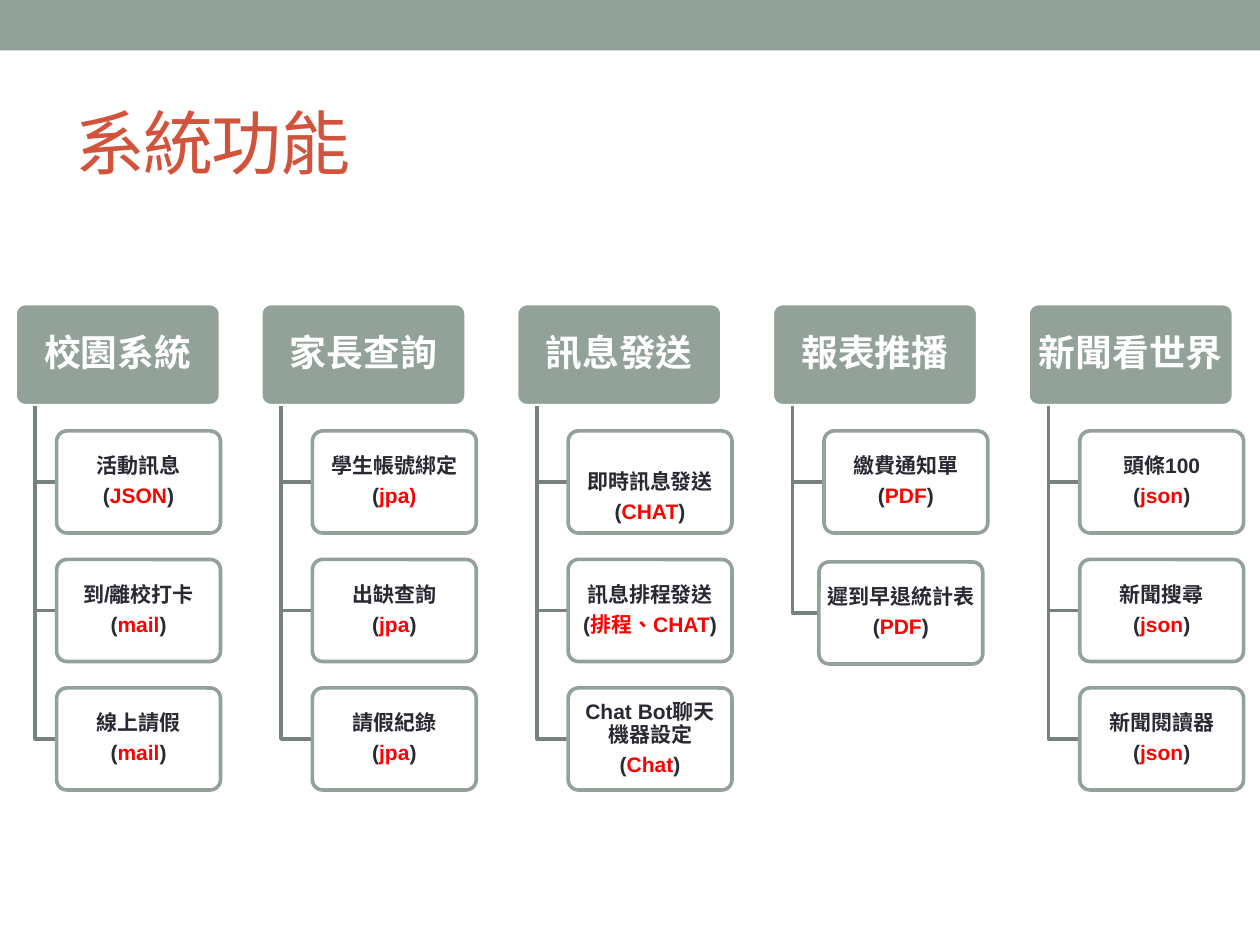
from pptx import Presentation
from pptx.dml.color import RGBColor
from pptx.enum import shapes, text
from pptx.util import Inches, Pt

C = {"sage": "93A299", "title": "D2533C", "white": "FFFFFF",
     "ink": "292934", "red": "FF0000", "branch": "76827B"}

TITLE = "系統功能"
# heading, heading left, then (feature, technology in red, closing text)
COLUMNS = [
    ("校園系統", 0.12, [("活動訊息", "JSON", ")"), ("到/離校打卡", "mail", ")"),
                    ("線上請假", "mail", ")")]),
    ("家長查詢", 2.07, [("學生帳號綁定", "jpa)", ""), ("出缺查詢", "jpa", ")"),
                    ("請假紀錄", "jpa", ")")]),
    ("訊息發送", 4.10, [("即時訊息發送", "CHAT", ")"), ("訊息排程發送", "排程、CHAT", ")"),
                    ("Chat Bot聊天機器設定", "Chat", ")")]),
    ("報表推播", 6.13, [("繳費通知單", "PDF", ")"), ("遲到早退統計表", "PDF", ")")]),
    ("新聞看世界", 8.16, [("頭條100", "json", ")"), ("新聞搜尋", "json", ")"),
                     ("新聞閱讀器", "json", ")")]),
]
HEAD_TOP, HEAD_W, BOX_W, BOX_H = 2.41, 1.63, 1.3, 0.81
ROW_TOP, ROW_STEP = 3.42, 1.02
TRUNK_DX, BOX_DX, FIRST_BOX_DX = 0.16, 0.41, 0.33
NUDGE = {"遲到早退統計表": (-0.04, 0.02)}   # box moved off the grid
TOP_INSET = {"即時訊息發送": 0.27}          # text set lower in its box


def rgb(name):
    return RGBColor.from_string(C[name])


def add_run(p, words, size, color, bold=True, spacing=None):
    r = p.add_run()
    r.text = words
    for key, value in {"name": "Arial", "size": Pt(size), "bold": bold}.items():
        setattr(r.font, key, value)
    r.font.color.rgb = rgb(color)
    r_pr = r._r.get_or_add_rPr()
    r_pr.set("lang", "zh-TW")
    if spacing is not None:
        r_pr.set("spc", str(spacing * 100))


def add_box(s, x, y, w, fill, line, paragraphs, size, insets):
    """Rounded box; each paragraph is a list of (words, colour)."""
    sp = s.shapes.add_shape(shapes.MSO_SHAPE.ROUNDED_RECTANGLE,
                            Inches(x), Inches(y), Inches(w), Inches(BOX_H))
    sp.adjustments[0] = 0.1
    sp.shadow.inherit = False
    sp.fill.solid()
    sp.fill.fore_color.rgb = rgb(fill)
    sp.line.color.rgb = rgb(line)
    sp.line.width = Pt(2.08)
    tf = sp.text_frame
    tf.word_wrap = True
    tf.vertical_anchor = text.MSO_ANCHOR.MIDDLE
    for side, inset in zip(("left", "top", "right", "bottom"), insets):
        setattr(tf, f"margin_{side}", Inches(inset))
    for i, runs in enumerate(paragraphs):
        p = tf.add_paragraph() if i else tf.paragraphs[0]
        p.alignment = text.PP_ALIGN.CENTER
        p.line_spacing = 0.9
        p.space_after = Pt(size * 0.35)
        for words, color in runs:
            add_run(p, words, size, color)


def add_elbow(s, x, y, end_x, end_y):
    builder = s.shapes.build_freeform(Inches(x), Inches(y))
    builder.add_line_segments([(Inches(x), Inches(end_y)),
                               (Inches(end_x), Inches(end_y))], close=False)
    sp = builder.convert_to_shape()
    sp.shadow.inherit = False
    sp.fill.background()
    sp.line.color.rgb = rgb("branch")
    sp.line.width = Pt(2.08)


def add_column(s, heading, x, features, box_dx):
    add_box(s, x, HEAD_TOP, HEAD_W, "sage", "white", [[(heading, "white")]],
            21, (0.04, 0.03, 0.04, 0.03))
    for row, (feature, tech, tail) in enumerate(features):
        dx, dy = NUDGE.get(feature, (0, 0))
        box_x, box_y = x + box_dx + dx, ROW_TOP + row * ROW_STEP + dy
        add_elbow(s, x + TRUNK_DX, HEAD_TOP + BOX_H, box_x, box_y + BOX_H / 2)
        note = [("(", "ink"), (tech, "red")] + ([(tail, "ink")] if tail else [])
        add_box(s, box_x, box_y, BOX_W, "white", "sage",
                [[(feature, "ink")], note], 12,
                (0.03, TOP_INSET.get(feature, 0.02), 0.03, 0.02))


def main():
    prs = Presentation()
    prs.slide_width, prs.slide_height = Inches(10), Inches(7.5)
    s = prs.slides.add_slide(prs.slide_layouts[5])

    band = s.shapes.add_shape(shapes.MSO_SHAPE.RECTANGLE, 0, 0,
                              prs.slide_width, Inches(0.4))
    band.shadow.inherit = False
    band.fill.solid()
    band.fill.fore_color.rgb = rgb("sage")
    band.line.fill.background()

    title = s.shapes.title
    for key, value in {"left": 0.5, "top": 0.58, "width": 9, "height": 1.08}.items():
        setattr(title, key, Inches(value))
    title.text_frame.vertical_anchor = text.MSO_ANCHOR.MIDDLE
    p = title.text_frame.paragraphs[0]
    p.alignment = text.PP_ALIGN.LEFT
    add_run(p, TITLE, 40, "title", bold=False, spacing=-1)

    for i, (heading, x, features) in enumerate(COLUMNS):
        add_column(s, heading, x, features, BOX_DX if i else FIRST_BOX_DX)

    prs.save("out.pptx")


if __name__ == "__main__":
    main()
